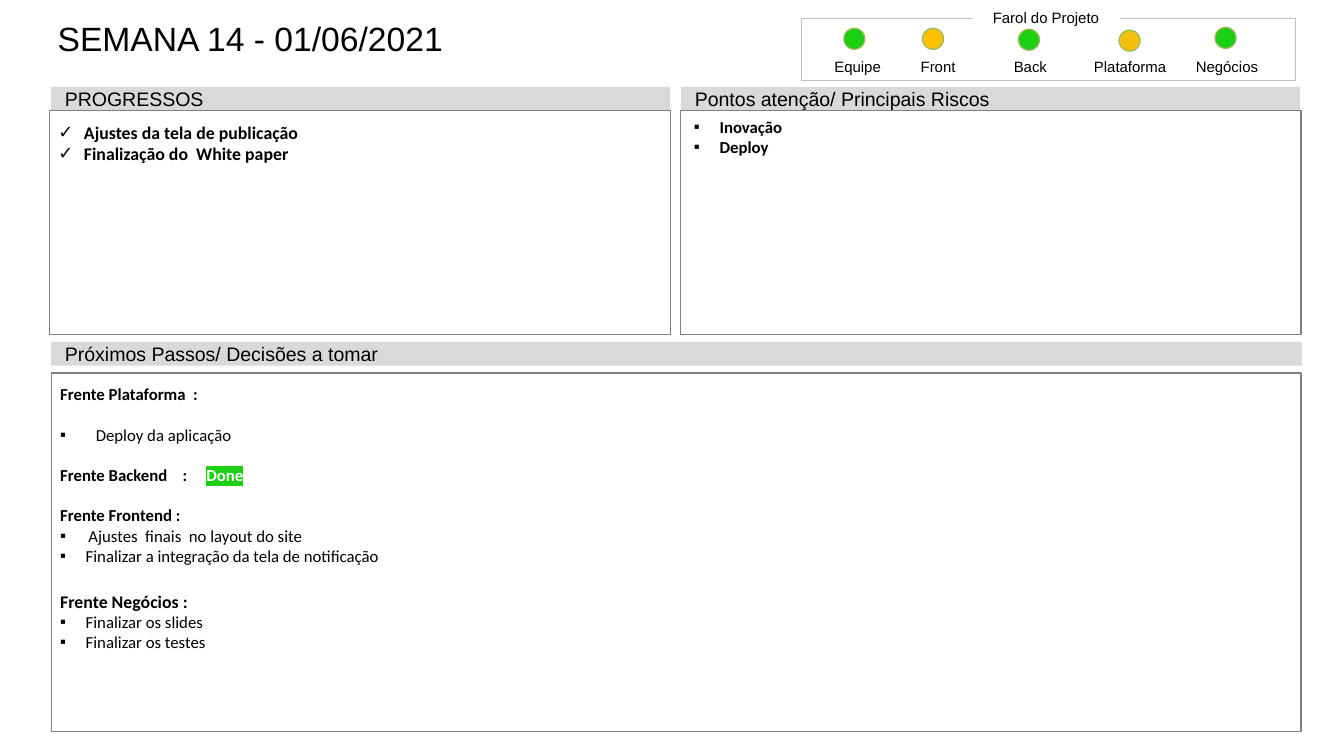
from lxml import etree
from pptx import Presentation, util as u
from pptx.dml.color import RGBColor
from pptx.enum import shapes, text
from pptx.oxml.ns import qn

WIDTH, HEIGHT = 14.7, 8.27
CELL = 0.1
COLORS = {
    "black": "000000", "white": "FFFFFF", "header": "D9D9D9", "frame": "808080",
    "pale": "BFBFBF", "green": "1BCF13", "amber": "FFC000", "gold": "F1BF0D",
    "rim": "9BBB59",
}
CHECK, SQUARE = "✓", "▪"


def rgb(name):
    return RGBColor.from_string(COLORS[name])


def sub(parent, tag, **attrs):
    return etree.SubElement(parent, qn(tag), attrs)


def write(tf, content, size=13.2, font="Calibri", color="black", bold=False, align="LEFT",
          before=0, bullet=None, indent=0.28, tabs=(), highlight=None, join=False):
    p = tf.paragraphs[-1]
    if p.runs and not join:
        p = tf.add_paragraph()
    if not join:
        p.alignment = text.PP_ALIGN[align]
        p.space_before, p.space_after = u.Pt(before), u.Pt(0)
        ppr = p._p.get_or_add_pPr()
        if bullet:
            ppr.set("marL", str(u.Inches(indent)))
            ppr.set("indent", str(-u.Inches(indent)))
            sub(ppr, "a:buFont", typeface="Arial")
            sub(ppr, "a:buChar", char=bullet)
        if tabs:
            stops = sub(ppr, "a:tabLst")
            for stop in tabs:
                sub(stops, "a:tab", pos=str(u.Inches(stop)), algn="l")
    r = p.add_run()
    r.text = content
    r.font.size, r.font.name, r.font.bold = u.Pt(size), font, bold
    r.font.color.rgb = rgb(color)
    if highlight:
        mark = etree.Element(qn("a:highlight"))
        sub(mark, "a:srgbClr", val=COLORS[highlight])
        r._r.rPr.find(qn("a:latin")).addprevious(mark)


class Board:
    """Status slide drawn on a grid of square cells."""

    def __init__(self, prs):
        self.s = prs.slides.add_slide(prs.slide_layouts[5])

    def area(self, *cells):
        return [u.Inches(n * CELL) for n in cells]

    def frame(self, sp, insets, anchor="TOP"):
        tf = sp.text_frame
        tf.word_wrap, tf.auto_size = True, text.MSO_AUTO_SIZE.NONE
        tf.vertical_anchor = text.MSO_ANCHOR[anchor]
        tf.margin_left, tf.margin_top, tf.margin_right, tf.margin_bottom = self.area(*insets)
        return tf

    def title(self, content, *cells):
        sp = self.s.shapes.title
        sp.left, sp.top, sp.width, sp.height = self.area(*cells)
        write(self.frame(sp, (1.2, 0, 1.2, 0)), content, size=26.5, font="Arial")

    def shape(self, *cells, kind="RECTANGLE", fill=None, line=None, weight=1):
        sp = self.s.shapes.add_shape(shapes.MSO_SHAPE[kind], *self.area(*cells))
        sp.shadow.inherit = False
        if fill:
            sp.fill.solid()
            sp.fill.fore_color.rgb = rgb(fill)
        else:
            sp.fill.background()
        if line:
            sp.line.color.rgb, sp.line.width = rgb(line), u.Pt(weight)
        else:
            sp.line.fill.background()
        return sp

    def header(self, content, *cells):
        sp = self.shape(*cells, fill="header")
        write(self.frame(sp, (1.5, 0, 1.5, 0), "MIDDLE"), content, size=15.4, font="Arial")

    def panel(self, items, *cells, insets=(1, 1.2, 1, 0.5)):
        tf = self.frame(self.shape(*cells, line="frame"), insets)
        for content, fmt in items:
            write(tf, content, **fmt)

    def caption(self, sp, content):
        tf = self.frame(sp, (0.6, 0, 0.6, 0), "BOTTOM")
        write(tf, content, size=11.8, font="Arial", align="CENTER")

    def label(self, content, *cells):
        self.caption(self.s.shapes.add_textbox(*self.area(*cells)), content)

    def lamp(self, col, row, color):
        self.shape(col, row, 2.3, 2.3, kind="OVAL", fill=color, line="rim")


prs = Presentation()
prs.slide_width, prs.slide_height = u.Inches(WIDTH), u.Inches(HEIGHT)
board = Board(prs)
board.title("SEMANA 14 - 01/06/2021", 5.1, 2, 80, 6)

LEFT, RIGHT, HALF, FULL = 5.6, 74.5, 67.7, 136.8
HEADER, TOP, PANEL = 2.6, 9.5, 24.5
board.header("PROGRESSOS", LEFT, TOP, HALF, HEADER)
board.header("Pontos atenção/ Principais Riscos", RIGHT, TOP, HALF, HEADER)
board.header("Próximos Passos/ Decisões a tomar", LEFT, 37.4, FULL, HEADER)

done = dict(size=14, bold=True, bullet=CHECK)
risk = dict(bold=True, bullet=SQUARE)
front = dict(bold=True, before=16)
step = dict(bullet=SQUARE)
board.panel([("Ajustes da tela de publicação", done), ("Finalização do  White paper", done)],
            LEFT - 0.2, TOP + HEADER, HALF + 0.2, PANEL)
board.panel([("Inovação", risk), ("Deploy", risk)],
            RIGHT - 0.1, TOP + HEADER, HALF + 0.2, PANEL, insets=(1.5, 0.7, 1, 0.5))
board.panel([
    ("Frente Plataforma  :", dict(bold=True)),
    ("Deploy da aplicação", dict(step, before=16, indent=0.39)),
    ("Frente Backend\t:\t", dict(front, tabs=(1.34, 1.6))),
    ("Done", dict(bold=True, color="white", highlight="green", join=True)),
    ("Frente Frontend :", front),
    ("Ajustes  finais  no layout do site", dict(step, indent=0.31)),
    ("Finalizar a integração da tela de notificação", step),
    ("Frente Negócios :", dict(front, size=14, before=19.5)),
    ("Finalizar os slides", step),
    ("Finalizar os testes", step),
], LEFT, 40.8, FULL - 0.1, 39.2)

board.shape(87.7, 2, 54, 6.8, line="pale", weight=0.5)
board.caption(board.shape(106.3, 0.6, 16.2, 2.3, fill="white"), "Farol do Projeto")
for name, label_col, lamp_col, lamp_row, color in (
    ("Equipe", 88.9, 92.3, 3.1, "green"),
    ("Front", 97.7, 100.9, 3.1, "amber"),
    ("Back", 107.8, 111.4, 3.2, "green"),
    ("Plataforma", 118.7, 122.4, 3.3, "gold"),
    ("Negócios", 129.3, 132.9, 3, "green"),
):
    board.label(name, label_col, 6.3, 9.8, 2)
    board.lamp(lamp_col, lamp_row, color)

prs.save("out.pptx")
